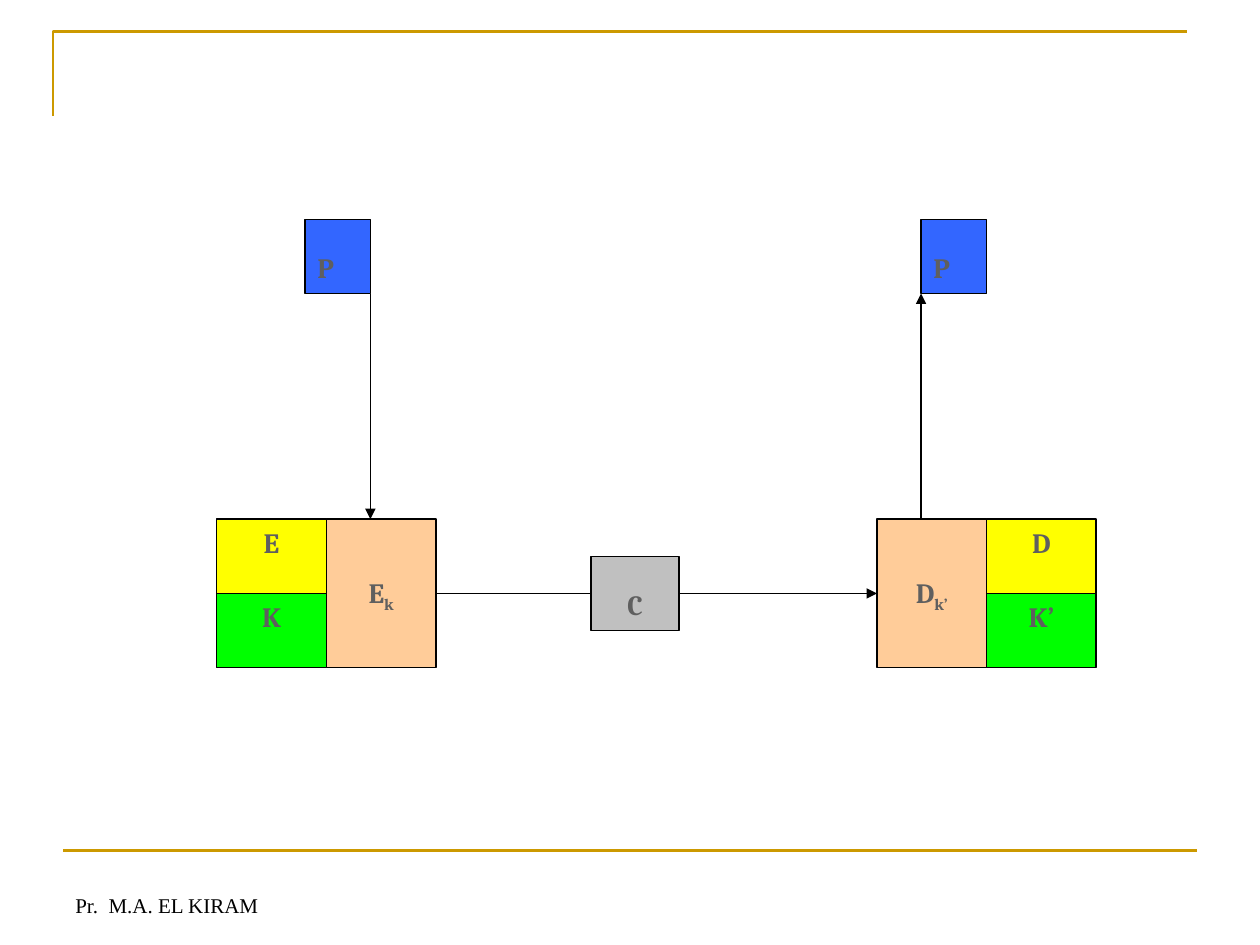
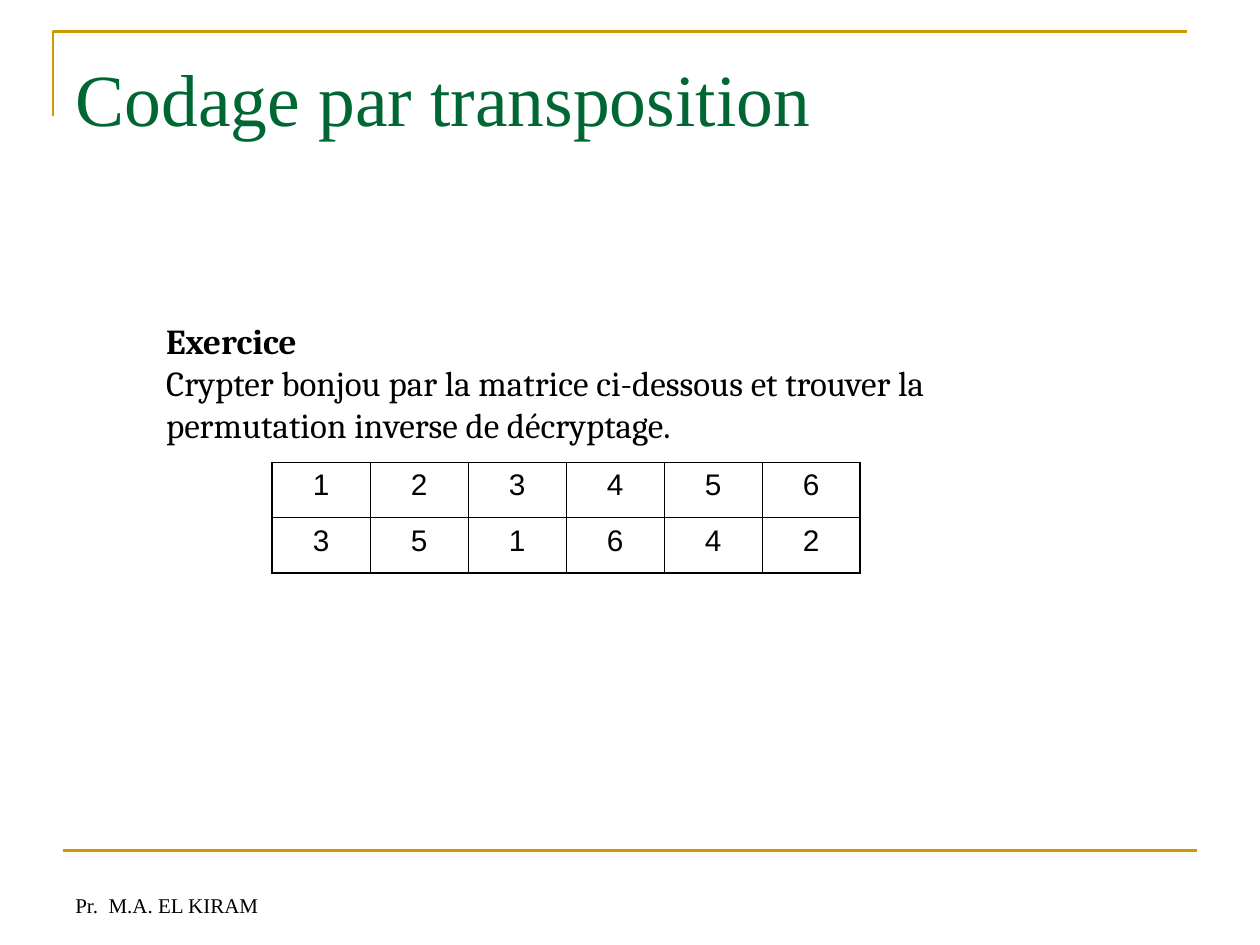
import pptx
import pptx.util
import pptx.dml.color
import pptx.enum.shapes
import pptx.enum.text
import pptx.oxml
import pptx.oxml.ns

Inches, Pt = pptx.util.Inches, pptx.util.Pt
RGB = pptx.dml.color.RGBColor
ALIGN = pptx.enum.text.PP_ALIGN
ANCHOR = pptx.enum.text.MSO_ANCHOR
RECT = pptx.enum.shapes.MSO_SHAPE.RECTANGLE
LINE = pptx.enum.shapes.MSO_CONNECTOR.STRAIGHT

BLACK = RGB(0, 0, 0)
GOLD = RGB(0xCC, 0x99, 0x00)
PINE = RGB(0x00, 0x66, 0x33)
GREY = RGB(0x5F, 0x5F, 0x5F)
SILVER = RGB(0xC0, 0xC0, 0xC0)
YELLOW = RGB(0xFF, 0xFF, 0x00)
GREEN = RGB(0x00, 0xFF, 0x00)
PEACH = RGB(0xFF, 0xCC, 0x99)
BLUE = RGB(0x33, 0x66, 0xFF)

TITLE = dict(name="Times New Roman", size=Pt(42), color=PINE)
FOOT = dict(name="Times New Roman", size=Pt(12), color=BLACK)
LABEL = dict(name="Cambria", size=Pt(16), bold=True, color=GREY)
BODY = dict(name="Cambria", size=Pt(20), bold=False, color=BLACK)
HEAD = dict(BODY, bold=True)
DIGIT = dict(name="Arial", size=Pt(17), bold=False, color=BLACK)

CELL_W, CELL_H = 0.87, 0.59
PLAIN_W = 0.52
BLANK = 0.2


def write(para, text, style):
    run = para.add_run()
    run.text = text
    for key, value in style.items():
        if key == "color":
            run.font.color.rgb = value
        else:
            setattr(run.font, key, value)
    return run


def add_line(slide, start, end, color=BLACK, width=0.75, arrow=False):
    ends = [Inches(v) for v in (*start, *end)]
    line = slide.shapes.add_connector(LINE, *ends)
    line.line.color.rgb = color
    line.line.width = Pt(width)
    if arrow:
        pptx.oxml.ns.qn("a:tailEnd")
        tip = line.line._get_or_add_ln().makeelement(
            pptx.oxml.ns.qn("a:tailEnd"), {"type": "triangle"})
        line.line._get_or_add_ln().append(tip)
    props = line._element.spPr
    props.append(props.makeelement(pptx.oxml.ns.qn("a:effectLst"), {}))
    return line


def add_text(slide, box, anchor=ANCHOR.TOP):
    frame = slide.shapes.add_textbox(*map(Inches, box)).text_frame
    frame.word_wrap = True
    frame.vertical_anchor = anchor
    return frame


def add_box(slide, box, fill, text, sub="", drop=0, align=ALIGN.CENTER):
    """Draw a labelled box; drop is how far the label sits below the top."""
    shape = slide.shapes.add_shape(RECT, *map(Inches, box))
    shape.shadow.inherit = False
    shape.fill.solid()
    shape.fill.fore_color.rgb = fill
    shape.line.color.rgb = BLACK
    shape.line.width = Pt(0.75)
    frame = shape.text_frame
    frame.vertical_anchor = ANCHOR.TOP
    frame.margin_top = Inches(0.05 + drop)
    para = frame.paragraphs[0]
    para.alignment = align
    write(para, text, LABEL)
    if sub:
        run = write(para, sub, LABEL)
        run._r.get_or_add_rPr().set("baseline", "-25000")
    return shape


def add_frame(slide):
    """Draw the gold rules and the footer."""
    path = slide.shapes.build_freeform(Inches(0.42), Inches(0.92))
    path.add_line_segments(
        [(Inches(0.42), Inches(0.25)), (Inches(9.42), Inches(0.25))],
        close=False)
    corner = path.convert_to_shape()
    corner.shadow.inherit = False
    corner.fill.background()
    corner.line.color.rgb = GOLD
    corner.line.width = Pt(1.5)
    add_line(slide, (0.5, 6.75), (9.5, 6.75), GOLD, 1.5)
    foot = add_text(slide, (0.5, 6.83, 2.33, 0.5), ANCHOR.BOTTOM)
    write(foot.paragraphs[0], "Pr.  M.A. EL KIRAM", FOOT)


def add_coder(slide, left, top, name, key, sub, flip=False):
    """Draw algorithm and key stacked beside the keyed algorithm."""
    pair_x, main_x = (left + CELL_W, left) if flip else (left, left + CELL_W)
    for row, (text, fill) in enumerate([(name, YELLOW), (key, GREEN)]):
        add_box(slide, (pair_x, top + row * CELL_H, CELL_W, CELL_H),
                fill, text)
    return add_box(slide, (main_x, top, CELL_W, 2 * CELL_H), PEACH,
                   name, sub, 2 * BLANK)


def add_scheme(slide, left, top):
    """Draw the path from plain text P through cipher C back to P."""
    base = top + 2.38
    send = add_coder(slide, left, base, "E", "K", "k")
    take = add_coder(slide, left + 5.24, base, "D", "K’", "k’", flip=True)
    mid = base + CELL_H
    link = add_line(slide, (left + 2 * CELL_W, mid), (left + 5.24, mid),
                    arrow=True)
    link.begin_connect(send, 3)
    link.end_connect(take, 1)
    add_box(slide, (left + 2.97, base + CELL_H / 2, 0.7, CELL_H), SILVER,
            "C", drop=BLANK)
    for x in (left + 0.7, left + 5.59):
        add_box(slide, (x, top, PLAIN_W, CELL_H), BLUE, "P",
                drop=BLANK, align=ALIGN.LEFT)
    down, up = left + 0.7 + PLAIN_W, left + 5.59
    add_line(slide, (down, top + CELL_H), (down, base), arrow=True)
    add_line(slide, (up, base), (up, top + CELL_H), arrow=True)


def add_edge(cell, side, width):
    edge = pptx.oxml.parse_xml(
        f'<a:ln{side} {pptx.oxml.ns.nsdecls("a")} w="{Pt(width)}">'
        f'<a:solidFill><a:srgbClr val="{BLACK}"/></a:solidFill></a:ln{side}>')
    cell._tc.get_or_add_tcPr().append(edge)


def add_grid(slide, box, rows):
    """Draw a table with a heavy outer border and thin inner lines."""
    high, wide = len(rows), len(rows[0])
    table = slide.shapes.add_table(high, wide, *map(Inches, box)).table
    table.first_row = table.horz_banding = False
    for r, row in enumerate(rows):
        for c, text in enumerate(row):
            cell = table.cell(r, c)
            outer = dict(L=c == 0, R=c == wide - 1, T=r == 0, B=r == high - 1)
            for side, heavy in outer.items():
                add_edge(cell, side, 1.08 if heavy else 0.45)
            cell.fill.background()
            para = cell.text_frame.paragraphs[0]
            para.alignment = ALIGN.CENTER
            write(para, text, DIGIT)


def set_title(slide, box, text):
    title = slide.shapes.title
    for key, value in zip(("left", "top", "width", "height"), box):
        setattr(title, key, Inches(value))
    frame = title.text_frame
    frame.vertical_anchor = ANCHOR.TOP
    frame.margin_top = Inches(0.12)
    para = frame.paragraphs[0]
    para.alignment = ALIGN.LEFT
    write(para, text, TITLE)


def add_task(slide, left, top):
    """Place the exercise text and its permutation table."""
    frame = add_text(slide, (left, top, 7.16, 1.1))
    frame.auto_size = pptx.enum.text.MSO_AUTO_SIZE.SHAPE_TO_FIT_TEXT
    write(frame.paragraphs[0], "Exercice", HEAD)
    write(frame.add_paragraph(),
          "Crypter bonjou par la matrice ci-dessous et trouver la "
          "permutation inverse de décryptage.", BODY)
    add_grid(slide, (left + 0.94, top + 1.18, 4.67, 0.88),
             ["123456", "351642"])


def main():
    deck = pptx.Presentation()
    deck.slide_width, deck.slide_height = Inches(10), Inches(7.5)
    title_only, blank = deck.slide_layouts[5], deck.slide_layouts[6]

    scheme = deck.slides.add_slide(blank)
    add_frame(scheme)
    add_scheme(scheme, 1.72, 1.74)

    task = deck.slides.add_slide(title_only)
    add_frame(task)
    set_title(task, (0.5, 0.3, 9, 1.25), "Codage par transposition")
    add_task(task, 1.22, 2.49)

    deck.save("out.pptx")


if __name__ == "__main__":
    main()
